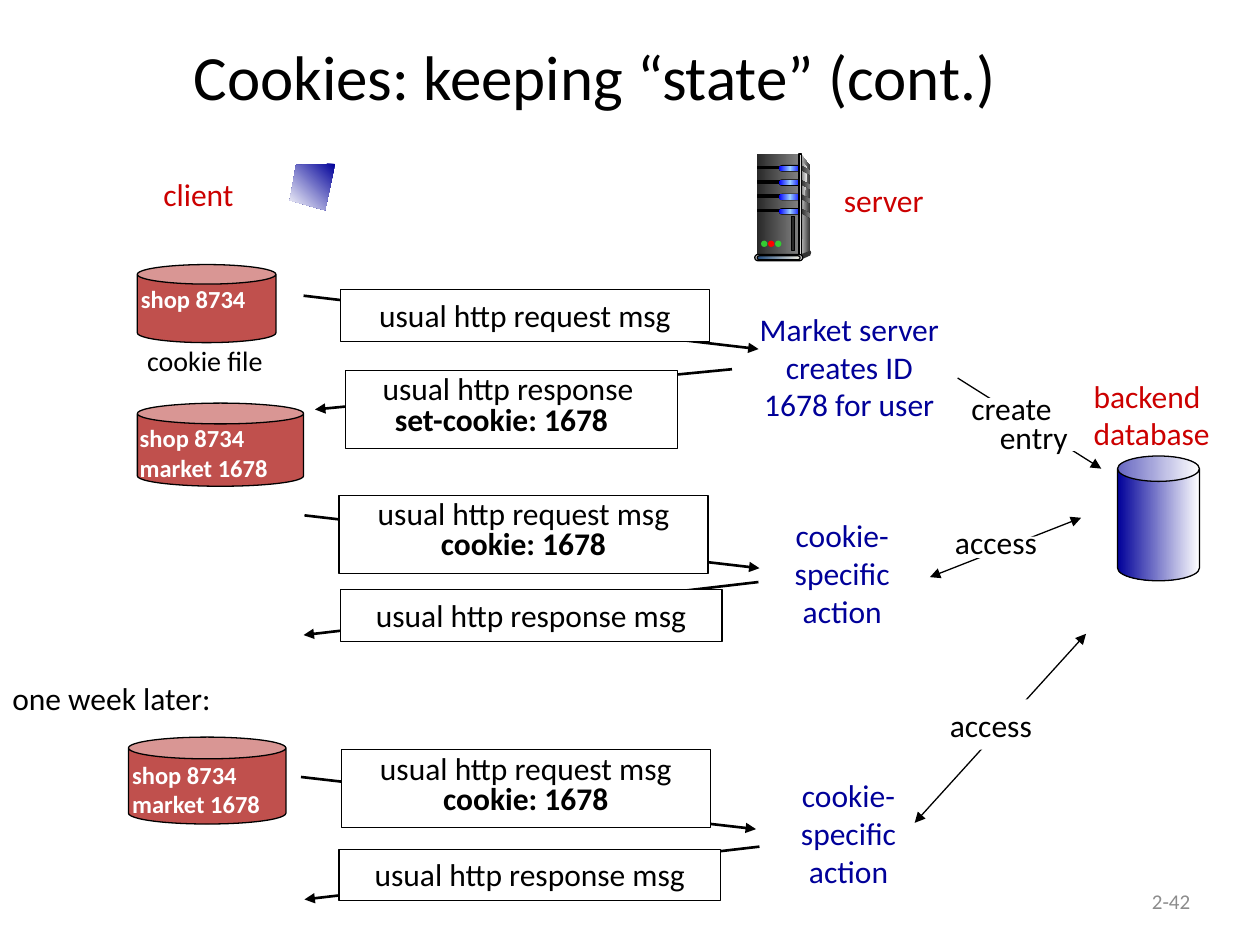
from copy import deepcopy
from typing import NamedTuple

from lxml import etree
from pptx import Presentation
from pptx.dml.color import RGBColor
from pptx.enum.shapes import MSO_CONNECTOR, MSO_SHAPE
from pptx.enum.text import MSO_ANCHOR, PP_ALIGN
from pptx.oxml.ns import qn
from pptx.util import Pt

RECT, ROUND, OVAL, CAN = (MSO_SHAPE.RECTANGLE, MSO_SHAPE.ROUNDED_RECTANGLE,
                          MSO_SHAPE.OVAL, MSO_SHAPE.CAN)
STRAIGHT = MSO_CONNECTOR.STRAIGHT
LEFT, CENTER, RIGHT = PP_ALIGN.LEFT, PP_ALIGN.CENTER, PP_ALIGN.RIGHT
TOP, MIDDLE = MSO_ANCHOR.TOP, MSO_ANCHOR.MIDDLE

COLORS = {
    "black": "000000", "white": "FFFFFF", "red": "CC0000", "navy": "000099",
    "cookie": "C0504D", "number": "8C8C8C", "charcoal": "292929",
    "dark": "333333", "gray": "808080", "light": "DDDDDD", "pale": "F8F8F8",
    "blue": "0000FF", "sky": "99CCFF", "green": "33CC33", "lamp": "FF0000",
    "base": "1F497D", "cream": "EEECE1",
}


class Box(NamedTuple):
    left: float
    top: float
    width: float
    height: float


class Point(NamedTuple):
    x: float
    y: float


class Message(NamedTuple):
    start: Point
    end: Point
    box: Box
    text: str
    header: str = ""


class CookieFile(NamedTuple):
    can: Box
    label: Box
    text: str


class Label(NamedTuple):
    box: Box
    text: str
    color: str
    align: PP_ALIGN = CENTER
    size: float = 18
    anchor: MSO_ANCHOR = TOP


def color(name: str) -> RGBColor:
    return RGBColor.from_string(COLORS[name])


def paint(shape, fills: tuple, line: str = "", angle: float = 0) -> None:
    """Fill with one colour or an even gradient, and set the outline."""
    shape.shadow.inherit = False
    if len(fills) == 1:
        shape.fill.solid()
        shape.fill.fore_color.rgb = color(fills[0])
    else:
        shape.fill.gradient()
        shape.fill.gradient_angle = angle
        stop_list = shape._element.spPr.find(".//" + qn("a:gsLst"))
        for _ in fills[2:]:
            stop_list.append(deepcopy(stop_list[0]))
        for index, stop in enumerate(shape.fill.gradient_stops):
            stop.position = index / (len(fills) - 1)
            stop.color.rgb = color(fills[index])
    if line:
        shape.line.color.rgb = color(line)
        shape.line.width = Pt(0.75)
    else:
        shape.line.fill.background()


def add_box(slide, kind, box: Box, *fills: str, line: str = "", adjust=None):
    shape = slide.shapes.add_shape(kind, *map(Pt, box))
    paint(shape, fills, line)
    if adjust is not None:
        shape.adjustments[0] = adjust
    return shape


def add_outline(slide, points: list, *fills: str, angle: float = 0) -> None:
    first, *others = [(Pt(x), Pt(y)) for x, y in points]
    builder = slide.shapes.build_freeform(*first)
    builder.add_line_segments(others, close=True)
    paint(builder.convert_to_shape(), fills, angle=angle)


def add_arrow(slide, start: Point, end: Point, width: float, both=False) -> None:
    connector = slide.shapes.add_connector(STRAIGHT, *map(Pt, start + end))
    connector.line.color.rgb = color("black")
    connector.line.width = Pt(width)
    line = connector.line._get_or_add_ln()
    for tag in ("a:headEnd", "a:tailEnd") if both else ("a:tailEnd",):
        etree.SubElement(line, qn(tag)).set("type", "triangle")
    etree.SubElement(connector._element.spPr, qn("a:effectLst"))


def write(shape, text: str, *, size=18, ink="black", align=LEFT, anchor=TOP,
          bold=(), spacing=None, indents=(), right_margins=()) -> None:
    """Write one paragraph per line; bold holds the indexes of bold lines."""
    frame = shape.text_frame
    frame.word_wrap = True
    frame.vertical_anchor = anchor
    for index, words in enumerate(text.split("\n")):
        paragraph = frame.paragraphs[0] if index == 0 else frame.add_paragraph()
        paragraph.alignment = align
        if spacing:
            paragraph.line_spacing = spacing
        for name, margins in (("marL", indents), ("marR", right_margins)):
            if margins:
                paragraph._p.get_or_add_pPr().set(name, str(Pt(margins[index])))
        run = paragraph.add_run()
        run.text = words
        run.font.name = "Calibri"
        run.font.size = Pt(size)
        run.font.bold = index in bold
        run.font.color.rgb = color(ink)


def add_text(slide, box: Box, text: str, **text_format) -> None:
    write(slide.shapes.add_textbox(*map(Pt, box)), text, **text_format)


def add_message(slide, message: Message) -> None:
    add_arrow(slide, message.start, message.end, 1.5)
    shape = add_box(slide, RECT, message.box, "white", line="black")
    if not message.header:
        write(shape, message.text, align=CENTER)
        return
    margins = (4, 11.5) if message.header.startswith("set") else ()
    write(shape, f"{message.text}\n{message.header}", align=CENTER, bold=(1,),
          spacing=0.8, right_margins=margins)


def add_server(slide) -> None:
    # Side and front of the cabinet
    add_outline(slide, [(458, 88.5), (463, 95), (463, 144), (456.5, 146)], "light", "dark")
    add_box(slide, RECT, Box(432.5, 88, 24, 57.5), "charcoal", "gray")
    add_outline(slide, [(458, 91.5), (461.5, 96.5), (459, 117), (458, 144.7)], "gray", "pale")
    # Drive slots
    for row in range(4):
        y = 95 + 8.2 * row
        add_box(slide, RECT, Box(432.7, y, 13.7, 1.4), "black", line="black")
        add_box(slide, ROUND, Box(445, y - 0.7, 13, 3.8), "black", adjust=0.5)
        add_box(slide, ROUND, Box(445.2, y - 0.3, 12.5, 3), "blue", "sky", "blue", adjust=0.5)
        add_outline(slide, [(457.5, y - 0.5), (463, y + 2.5), (463, y + 4.8),
                            (457.5, y + 2)], "charcoal", "gray")
    # Edge, foot and lamps
    add_box(slide, RECT, Box(456.5, 88, 1.5, 58.3), "dark", "light", "dark", line="black")
    add_box(slide, OVAL, Box(462, 143.3, 1.5, 2.2), "dark")
    add_outline(slide, [(457.2, 145.5), (458, 148.3), (463, 146), (463, 143.3)], "dark")
    add_box(slide, ROUND, Box(431.3, 145.4, 27.4, 3.6), "light", line="black", adjust=0.5)
    add_box(slide, ROUND, Box(432.7, 146.2, 24.5, 2.2), "base", "cream", line="black", adjust=0.5)
    for index, lamp in enumerate(("green", "lamp", "green")):
        add_box(slide, OVAL, Box(434.9 + 4 * index, 137.5, 3.6, 3.6), lamp)
    add_box(slide, RECT, Box(452.2, 123.8, 2, 19.4), "charcoal", line="black")


REQUEST, RESPONSE = "usual http request msg", "usual http response msg"
MESSAGES = [
    Message(Point(173.5, 169), Point(433.5, 199.5), Box(194.5, 165.6, 211, 29.5), REQUEST),
    Message(Point(418.3, 211), Point(180, 234), Box(197.3, 211.7, 190, 44.6),
            "usual http response", "set-cookie: 1678"),
    Message(Point(174, 294.5), Point(434, 324.7), Box(193.7, 283, 211, 44.6),
            REQUEST, "cookie: 1678"),
    Message(Point(433.4, 332.6), Point(173.5, 362.9), Box(194.4, 337, 218.2, 29.5), RESPONSE),
    Message(Point(172, 444), Point(432, 473.8), Box(195, 428.4, 211, 44.6),
            REQUEST, "cookie: 1678"),
    Message(Point(434, 483.8), Point(174, 514), Box(193.7, 485.3, 218.2, 29.5), RESPONSE),
]
COOKIE_FILES = [
    CookieFile(Box(78.5, 151.2, 79.2, 44.6), Box(73.4, 159, 84, 24), "shop 8734"),
    CookieFile(Box(78.5, 230.4, 95, 47.5), Box(72.7, 238.3, 114.5, 41), "shop 8734\nmarket 1678"),
    CookieFile(Box(73.4, 421.2, 90, 49.7), Box(68.4, 430.6, 109.5, 41), "shop 8734\nmarket 1678"),
]
ACTION = "cookie-\nspecific\naction"
LABELS = [
    Label(Box(33.8, 12.2, 612, 61.2), "Cookies: keeping “state” (cont.)", "black",
          size=36, anchor=MIDDLE),
    Label(Box(516.2, 500.4, 171, 28.8), "2-42", "number", RIGHT, 12, MIDDLE),
    Label(Box(82.8, 96.5, 61.2, 31), "client", "red"),
    Label(Box(470, 100, 70, 31), "server", "red"),
    Label(Box(617.8, 211.7, 88.6, 50.4), "backend\ndatabase", "red", LEFT),
    Label(Box(77, 193, 140.4, 26.6), "cookie file", "black", LEFT, 16),
    Label(Box(0, 384.5, 136.8, 29), "one week later:", "black", LEFT),
    Label(Box(417.6, 173.5, 135.4, 72), "Market server\ncreates ID\n1678 for user", "navy"),
    Label(Box(444.2, 291.6, 74.2, 72), ACTION, "navy"),
    Label(Box(447.8, 440, 74.2, 72), ACTION, "navy"),
    Label(Box(538.6, 295.2, 70.6, 29), "access", "black", LEFT),
    Label(Box(535.7, 399.6, 70.6, 29), "access", "black", LEFT),
]


def main() -> None:
    presentation = Presentation()
    presentation.slide_width, presentation.slide_height = Pt(720), Pt(540)
    slide = presentation.slides.add_slide(presentation.slide_layouts[6])

    # Messages between client and server
    for message in MESSAGES:
        add_message(slide, message)

    # Database arrows, each broken by a white patch for its label
    add_arrow(slide, Point(547.2, 216), Point(629.3, 267.8), 0.75)
    add_arrow(slide, Point(531.4, 329.8), Point(617.8, 295.9), 0.75, both=True)
    add_arrow(slide, Point(522.7, 470.2), Point(620.6, 362.2), 0.75, both=True)
    for patch in (Box(558.7, 227.5, 75.6, 30.2), Box(550.8, 306.7, 48.2, 12.2),
                  Box(535.7, 399.6, 70.6, 28.8)):
        add_box(slide, RECT, patch, "white")

    # Cookie files and backend database
    for cookie_file in COOKIE_FILES:
        add_box(slide, CAN, cookie_file.can, "cookie", line="black", adjust=0.25)
        add_text(slide, cookie_file.label, cookie_file.text, size=14, ink="white", bold=(0, 1))
    add_box(slide, CAN, Box(638.6, 260.6, 46.8, 71.3), "navy", "white", line="black", adjust=0.31)

    # Labels
    for label in LABELS:
        add_text(slide, label.box, label.text, size=label.size, ink=label.color,
                 align=label.align, anchor=label.anchor)
    add_text(slide, Box(548, 224, 92, 39.6), "create\nentry", spacing=0.75, indents=(0, 16.3))

    # Server and client screen
    add_server(slide)
    add_outline(slide, [(191.5, 93.6), (169.2, 94.3), (165.6, 114.5), (185.8, 120.2)],
                "navy", "white", angle=225)
    presentation.save("out.pptx")


if __name__ == "__main__":
    main()
